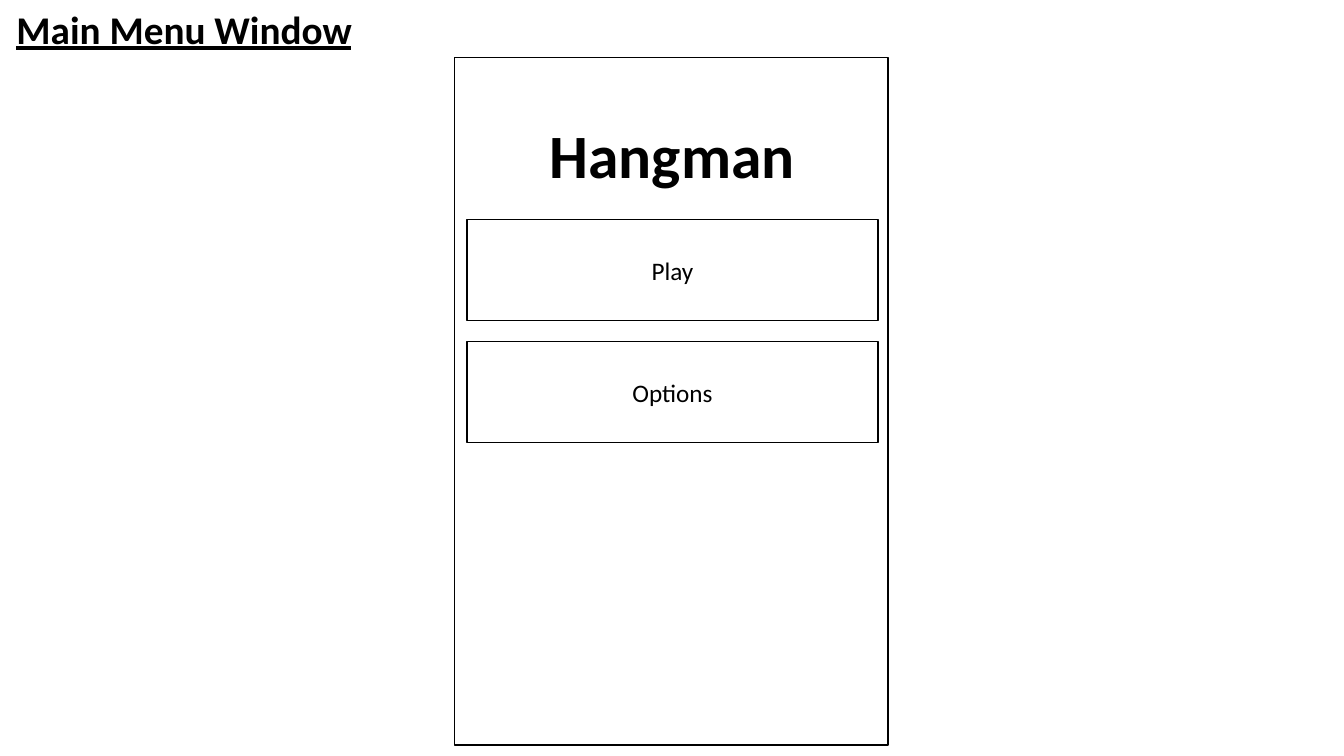
"""Build the main menu window wireframe slide of a hangman game."""
from dataclasses import dataclass

from pptx import Presentation
from pptx.dml.color import RGBColor
from pptx.enum.shapes import MSO_SHAPE
from pptx.enum.text import MSO_ANCHOR, MSO_AUTO_SIZE, PP_ALIGN
from pptx.shapes.autoshape import Shape
from pptx.slide import Slide
from pptx.util import Emu, Pt

RECTANGLE = MSO_SHAPE.RECTANGLE
MIDDLE = MSO_ANCHOR.MIDDLE
FIT_SHAPE = MSO_AUTO_SIZE.SHAPE_TO_FIT_TEXT
CENTER = PP_ALIGN.CENTER

BLACK = RGBColor(0x00, 0x00, 0x00)
WHITE = RGBColor(0xFF, 0xFF, 0xFF)
FONT = "Calibri"
EMU_PER_PX = 9144
BLANK_LAYOUT = 6

BUTTON_LEFT, BUTTON_TOP = 463, 218
BUTTON_WIDTH, BUTTON_HEIGHT = 408, 100
BUTTON_PITCH = 121
BUTTON_LABELS = ("Play", "Options")


@dataclass(frozen=True)
class Area:
    left: int
    top: int
    width: int
    height: int

    def to_emu(self) -> tuple[Emu, Emu, Emu, Emu]:
        return px(self.left), px(self.top), px(self.width), px(self.height)


@dataclass(frozen=True)
class Heading:
    text: str
    area: Area
    size: int
    underline: bool
    wrap: bool


WINDOW = Area(451, 57, 430, 682)
HEADINGS = (
    Heading("Main Menu Window", Area(0, 0, 365, 57), 28, True, False),
    Heading("Hangman", Area(534, 111, 266, 84), 44, False, True),
)


def px(length: int) -> Emu:
    return Emu(length * EMU_PER_PX)


def write_text(box: Shape, text: str, size: int, bold: bool = False, underline: bool = False) -> None:
    para = box.text_frame.paragraphs[0]
    para.text = text
    para.alignment = CENTER
    para.font.name = FONT
    para.font.size = Pt(size)
    para.font.bold = bold
    para.font.underline = underline
    para.font.color.rgb = BLACK


def add_outline(page: Slide, area: Area) -> Shape:
    box = page.shapes.add_shape(RECTANGLE, *area.to_emu())
    box.shadow.inherit = False
    box.fill.background()
    box.line.color.rgb = BLACK
    box.line.width = Pt(1)
    return box


def add_button(page: Slide, label: str, area: Area) -> None:
    box = add_outline(page, area)
    box.fill.solid()
    box.fill.fore_color.rgb = WHITE
    box.text_frame.vertical_anchor = MIDDLE
    write_text(box, label, 18)


def add_heading(page: Slide, heading: Heading) -> None:
    box = page.shapes.add_textbox(*heading.area.to_emu())
    box.text_frame.word_wrap = heading.wrap
    box.text_frame.auto_size = FIT_SHAPE
    write_text(box, heading.text, heading.size, bold=True, underline=heading.underline)


def main() -> None:
    deck = Presentation()
    deck.slide_width, deck.slide_height = px(1333), px(750)
    page = deck.slides.add_slide(deck.slide_layouts[BLANK_LAYOUT])
    add_outline(page, WINDOW)
    for index, label in enumerate(BUTTON_LABELS):
        top = BUTTON_TOP + index * BUTTON_PITCH
        add_button(page, label, Area(BUTTON_LEFT, top, BUTTON_WIDTH, BUTTON_HEIGHT))
    for heading in HEADINGS:
        add_heading(page, heading)
    deck.save("out.pptx")


if __name__ == "__main__":
    main()
